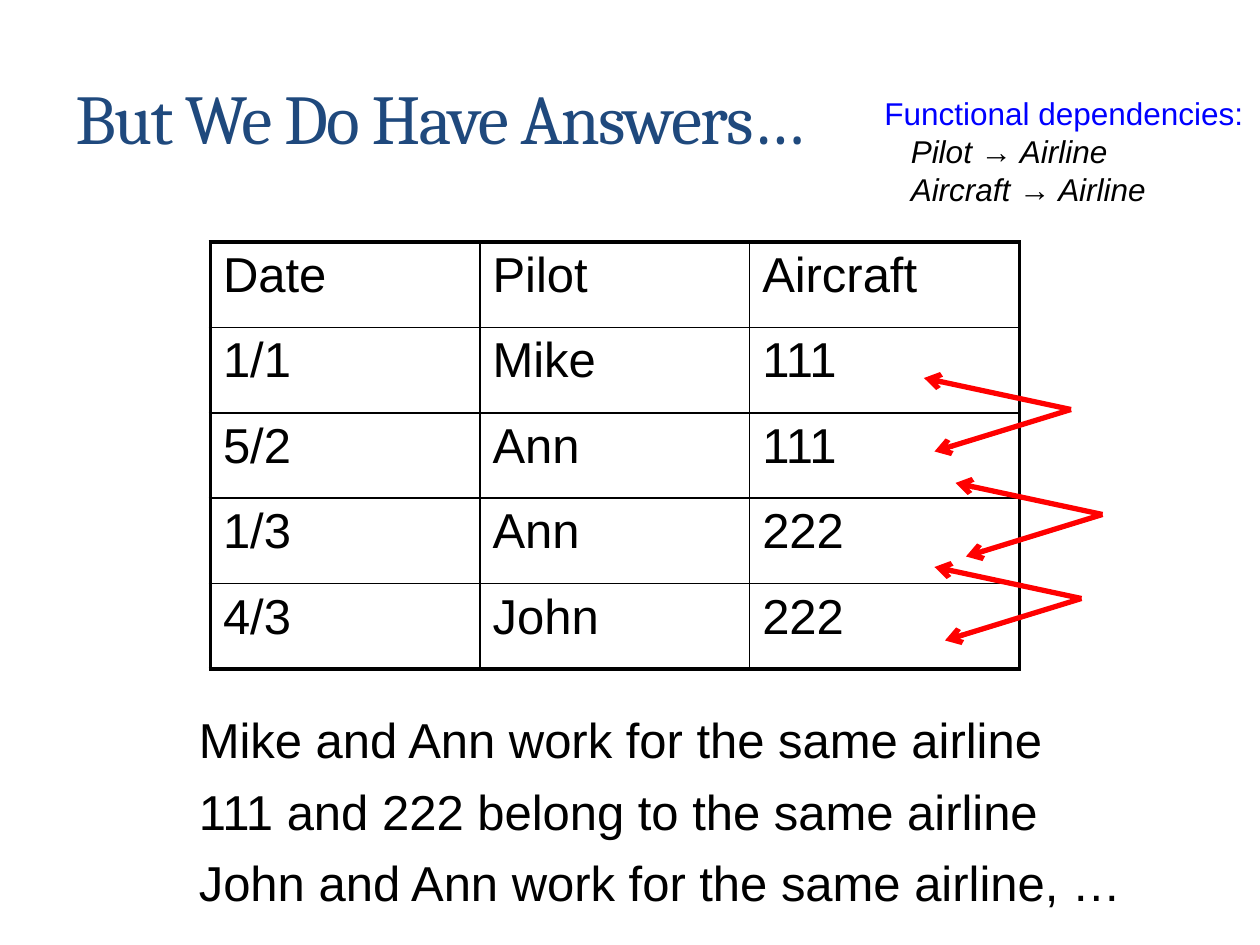
from lxml import etree
from pptx import Presentation
from pptx.dml.color import RGBColor
from pptx.enum.shapes import MSO_CONNECTOR
from pptx.enum.text import MSO_ANCHOR
from pptx.oxml import parse_xml
from pptx.oxml.ns import nsdecls, qn
from pptx.util import Inches, Pt

LINE = MSO_CONNECTOR.STRAIGHT
MIDDLE = MSO_ANCHOR.MIDDLE
UNIT = Inches(1) // 12  # the arrows sit on a grid of twelfths of an inch


def rgb(code):
    return RGBColor.from_string(code)


def add_text(box, lines, size, color, face="Arial"):
    """Add a wrapping text box at box (inches), one paragraph per line."""
    frame = slide.shapes.add_textbox(*map(Inches, box)).text_frame
    frame.word_wrap = True
    frame.text = "\n".join(lines)
    for para in frame.paragraphs:
        para.font.size = Pt(size)
        para.font.name = face
        para.font.color.rgb = rgb(color)
    return frame


prs = Presentation()
prs.slide_width, prs.slide_height = Inches(10), Inches(7.5)
slide = prs.slides.add_slide(prs.slide_layouts[6])

# Title with tight letters and a soft shadow
title = add_text((0.5, 0.3, 9.05, 1.25), ["But We Do Have Answers…"], 40, "1F497D", "Cambria")
title.vertical_anchor = MIDDLE
props = title.paragraphs[0].runs[0]._r.get_or_add_rPr()
props.set("spc", "-100")
props.append(parse_xml(
    f'<a:effectLst {nsdecls("a")}><a:outerShdw blurRad="50800" dist="38100" dir="2700000">'
    '<a:srgbClr val="000000"><a:alpha val="40000"/></a:srgbClr>'
    '</a:outerShdw></a:effectLst>'))

# Flight table
rows = [
    ("Date", "Pilot", "Aircraft"),
    ("1/1", "Mike", "111"),
    ("5/2", "Ann", "111"),
    ("1/3", "Ann", "222"),
    ("4/3", "John", "222"),
]
high, wide = len(rows), len(rows[0])
area = map(Inches, (1.67, 1.92, 6.42, 3.39))
table = slide.shapes.add_table(high, wide, *area).table
table.first_row = table.horz_banding = False
for r, row in enumerate(rows):
    for c, word in enumerate(row):
        cell = table.cell(r, c)
        cell.text = word
        font = cell.text_frame.paragraphs[0].font
        font.size, font.name = Pt(28), "Arial"
        font.color.rgb = rgb("000000")
        cell.fill.background()
        outer = {"L": c == 0, "R": c == wide - 1, "T": r == 0, "B": r == high - 1}
        for spot, (side, edge) in enumerate(outer.items()):
            width = Pt(2.25 if edge else 1)
            cell._tc.get_or_add_tcPr().insert(spot, parse_xml(
                f'<a:ln{side} {nsdecls("a")} w="{width}"><a:solidFill>'
                f'<a:srgbClr val="000000"/></a:solidFill></a:ln{side}>'))

# Pairs of red arrows, each pair from one point to two rows
for x, y in [(102, 39), (103, 57), (105, 49)]:
    for dx, dy in [(-14, -3), (-13, 4)]:
        ends = (x, y, x + dx, y + dy)
        arrow = slide.shapes.add_connector(LINE, *(n * UNIT for n in ends))
        arrow.line.color.rgb = rgb("FF0000")
        arrow.line.width = Pt(3)
        etree.SubElement(arrow.line._get_or_add_ln(), qn("a:tailEnd"), type="arrow")
        etree.SubElement(arrow._element.spPr, qn("a:effectLst"))

# Conclusions
facts = [
    "Mike and Ann work for the same airline",
    "111 and 222 belong to the same airline",
    "John and Ann work for the same airline, …",
]
for i, fact in enumerate(facts):
    add_text((1.48, 5.58 + 0.57 * i, 7.6, 0.57), [fact], 28, "000000")

# Functional dependencies
rules = ["Functional dependencies:", "Pilot → Airline", "Aircraft → Airline"]
note = add_text((6.92, 0.7, 3.08, 1.01), rules, 18, "0000FF")
note.margin_right = 0
for para in note.paragraphs[1:]:
    para.font.italic = True
    para.font.color.rgb = rgb("000000")
    para._p.get_or_add_pPr().set("marL", str(Inches(0.21)))

prs.save("out.pptx")
